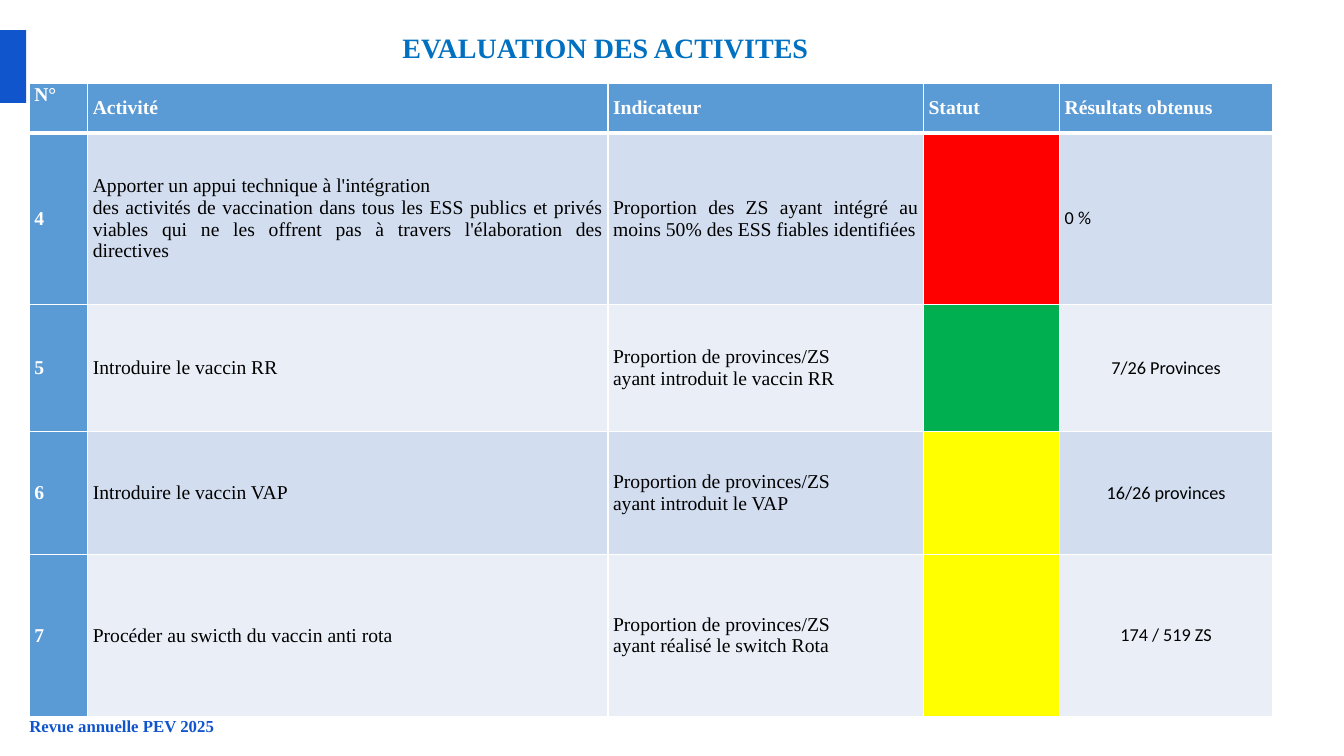
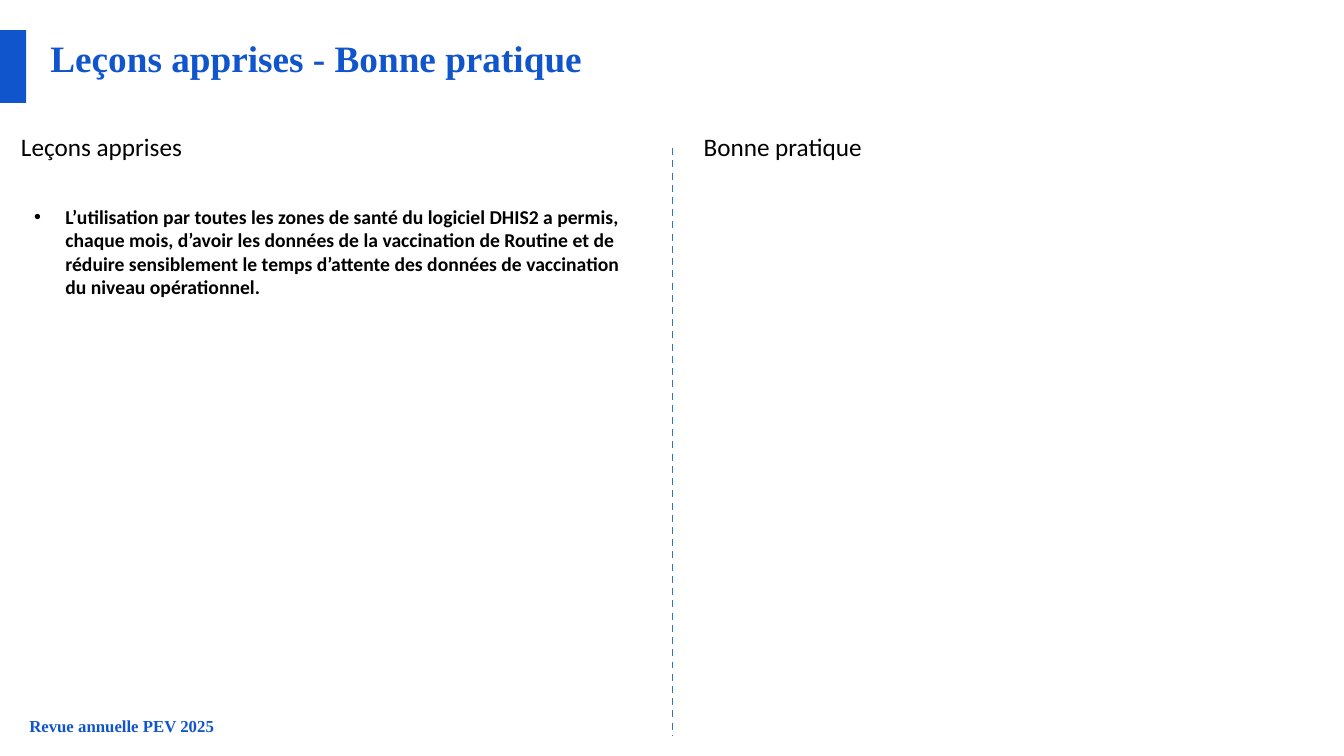
from dataclasses import dataclass
from typing import Any

from lxml.etree import SubElement
from pptx import Presentation
from pptx.dml.color import RGBColor
from pptx.enum.dml import MSO_LINE
from pptx.enum.shapes import MSO_CONNECTOR, MSO_SHAPE
from pptx.enum.text import MSO_ANCHOR, PP_ALIGN
from pptx.oxml import parse_xml
from pptx.oxml.ns import nsdecls, qn
from pptx.util import Inches, Pt

WHITE = RGBColor(0xFF, 0xFF, 0xFF)
BLACK = RGBColor(0, 0, 0)
ROYAL = RGBColor(0x11, 0x55, 0xCC)
TITLE_BLUE = RGBColor(0x00, 0x70, 0xC0)
HEADER_BLUE = RGBColor(0x5B, 0x9B, 0xD5)
DIVIDER_BLUE = RGBColor(0x2E, 0x75, 0xB6)
BANDS = (RGBColor(0xD2, 0xDE, 0xEF), RGBColor(0xEA, 0xEF, 0xF7))
RED = RGBColor(0xFF, 0, 0)
GREEN = RGBColor(0, 0xB0, 0x50)
YELLOW = RGBColor(0xFF, 0xFF, 0)


@dataclass(frozen=True)
class Style:
    size: float
    name: str = "Times New Roman"
    bold: bool = False
    color: RGBColor = BLACK


TABLE_TITLE = Style(20, bold=True, color=TITLE_BLUE)
LESSON_TITLE = Style(26.6, bold=True, color=ROYAL)
FOOTER = Style(12, bold=True, color=ROYAL)
HEADER = Style(14, bold=True, color=WHITE)
BODY = Style(14)
RESULT = Style(13, "Calibri")
HEADING = Style(18, "Calibri")
LESSON = Style(14, "Calibri", bold=True)


@dataclass(frozen=True)
class Activity:
    number: str
    task: str
    indicator: str
    status: RGBColor
    result: str
    height: float
    result_align: PP_ALIGN = PP_ALIGN.CENTER


HEADERS = ("N°", "Activité", "Indicateur", "Statut", "Résultats obtenus")
COL_WIDTHS = (0.58, 5.16, 3.13, 1.35, 2.11)
HEADER_HEIGHT = 0.49
ACTIVITIES = (
    Activity("4", "Apporter un appui technique à l'intégration\n"
             "des activités de vaccination dans tous les ESS publics et privés viables "
             "qui ne les offrent pas à travers l'élaboration des directives",
             "Proportion des ZS ayant intégré au moins 50% des ESS fiables identifiées",
             RED, "0 %", 1.7, PP_ALIGN.JUSTIFY),
    Activity("5", "Introduire le vaccin RR",
             "Proportion de provinces/ZS\nayant introduit le vaccin RR",
             GREEN, "7/26 Provinces", 1.26),
    Activity("6", "Introduire le vaccin VAP",
             "Proportion de provinces/ZS\nayant introduit le VAP",
             YELLOW, "16/26 provinces", 1.22),
    Activity("7", "Procéder au swicth du vaccin anti rota",
             "Proportion de provinces/ZS\nayant réalisé le switch Rota",
             YELLOW, "174 / 519 ZS", 1.61),
)
LESSON_TEXT = (
    "L’utilisation par toutes les zones de santé du logiciel DHIS2 a permis, chaque mois, "
    "d’avoir les données de la vaccination de Routine et de réduire sensiblement le temps "
    "d’attente des données de vaccination du niveau opérationnel."
)


def write(tf: Any, text: str, style: Style, align: PP_ALIGN = PP_ALIGN.LEFT) -> None:
    """Fill a text frame with one paragraph per line of text."""
    for i, line in enumerate(text.split("\n")):
        p = tf.add_paragraph() if i else tf.paragraphs[0]
        p.alignment = align
        r = p.add_run()
        r.text = line
        formats = {"size": Pt(style.size), "name": style.name, "bold": style.bold}
        for key, value in formats.items():
            setattr(r.font, key, value)
        r.font.color.rgb = style.color


def add_text(s: Any, text: str, style: Style, left: float, top: float, width: float,
             height: float, margins: tuple = (0, 0, 0, 0)) -> Any:
    """Add a text box; margins run left, top, right, bottom."""
    tf = s.shapes.add_textbox(Inches(left), Inches(top), Inches(width), Inches(height)).text_frame
    tf.word_wrap = True
    for side, margin in zip(("left", "top", "right", "bottom"), margins):
        setattr(tf, f"margin_{side}", Inches(margin))
    write(tf, text, style)
    return tf


def add_bullet(p: Any, indent: float) -> None:
    pPr = p._p.get_or_add_pPr()
    pPr.set("marL", str(Inches(indent)))
    pPr.set("indent", str(-Inches(indent)))
    SubElement(pPr, qn("a:buFont"), typeface="Arial")
    SubElement(pPr, qn("a:buChar"), char="•")


def add_base_slide(prs: Any) -> Any:
    """Add a blank slide with the side tab and the footer."""
    s = prs.slides.add_slide(prs.slide_layouts[6])
    tab = s.shapes.add_shape(MSO_SHAPE.RECTANGLE, 0, Inches(0.3), Inches(0.26), Inches(0.72))
    tab.shadow.inherit = False
    tab.fill.solid()
    tab.fill.fore_color.rgb = ROYAL
    tab.line.fill.background()
    add_text(s, "Revue annuelle PEV 2025", FOOTER, 0.29, 7.1, 12.48, 0.2, (0, 0, 0.13, 0))
    return s


def set_borders(cell: Any, top: float, bottom: float) -> None:
    """Draw white cell borders; top and bottom are widths in points."""
    tcPr = cell._tc.get_or_add_tcPr()
    for i, (side, width) in enumerate({"L": 1, "R": 1, "T": top, "B": bottom}.items()):
        tcPr.insert(i, parse_xml(
            f'<a:ln{side} {nsdecls("a")} w="{Pt(width)}"><a:solidFill>'
            f'<a:srgbClr val="{WHITE}"/></a:solidFill></a:ln{side}>'))


def fill_cell(cell: Any, fill: RGBColor, text: str = "", style: Style = BODY,
              align: PP_ALIGN = PP_ALIGN.JUSTIFY) -> None:
    cell.fill.solid()
    cell.fill.fore_color.rgb = fill
    formats = {"margin_left": Inches(0.05), "margin_right": Inches(0.05), "margin_top": 0,
               "margin_bottom": 0, "vertical_anchor": MSO_ANCHOR.MIDDLE}
    for key, value in formats.items():
        setattr(cell, key, value)
    if text:
        write(cell.text_frame, text, style, align)


def add_activity_table(s: Any) -> None:
    heights = (HEADER_HEIGHT, *(a.height for a in ACTIVITIES))
    table = s.shapes.add_table(
        len(heights), len(COL_WIDTHS), Inches(0.29), Inches(0.83),
        Inches(sum(COL_WIDTHS)), Inches(sum(heights))).table
    table.horz_banding = False
    for column, width in zip(table.columns, COL_WIDTHS):
        column.width = Inches(width)
    for row, height in zip(table.rows, heights):
        row.height = Inches(height)

    for c, label in enumerate(HEADERS):
        fill_cell(table.cell(0, c), HEADER_BLUE, label, HEADER)
    table.cell(0, 0).vertical_anchor = MSO_ANCHOR.TOP
    for i, a in enumerate(ACTIVITIES):
        band = BANDS[i % 2]
        contents = (
            (HEADER_BLUE, a.number, HEADER),
            (band, a.task),
            (band, a.indicator),
            (a.status,),
            (band, a.result, RESULT, a.result_align),
        )
        for cell, content in zip(table.rows[i + 1].cells, contents):
            fill_cell(cell, *content)
    for r, row in enumerate(table.rows):
        for cell in row.cells:
            set_borders(cell, top=3 if r == 1 else 1, bottom=3 if r == 0 else 1)


def add_divider(s: Any, x: float, top: float, bottom: float) -> None:
    line = s.shapes.add_connector(MSO_CONNECTOR.STRAIGHT, Inches(x), Inches(top),
                                  Inches(x), Inches(bottom))
    line.line.color.rgb = DIVIDER_BLUE
    line.line.width = Pt(1.25)
    line.line.dash_style = MSO_LINE.DASH
    SubElement(line._element.spPr, qn("a:effectLst"))


def build_evaluation(prs: Any) -> None:
    s = add_base_slide(prs)
    add_activity_table(s)
    add_text(s, "EVALUATION DES ACTIVITES", TABLE_TITLE, 3.99, 0.3, 8.79, 0.56)


def build_lessons(prs: Any) -> None:
    s = add_base_slide(prs)
    add_text(s, "Leçons apprises - Bonne pratique", LESSON_TITLE, 0.5, 0.35, 12.33, 0.8)
    add_divider(s, 6.67, 1.47, 7.3)
    box_margins = (0.1, 0.05, 0.1, 0.05)
    for heading, left, width in (("Leçons apprises", 0.11, 5.56), ("Bonne pratique", 6.88, 3.15)):
        add_text(s, heading, HEADING, left, 1.25, width, 0.4, box_margins)
    tf = add_text(s, LESSON_TEXT, LESSON, 0.24, 1.98, 6.22, 5.03, box_margins)
    add_bullet(tf.paragraphs[0], 0.31)


def main() -> None:
    prs = Presentation()
    prs.slide_width, prs.slide_height = Inches(13.33), Inches(7.5)
    build_evaluation(prs)
    build_lessons(prs)
    prs.save("out.pptx")


if __name__ == "__main__":
    main()
